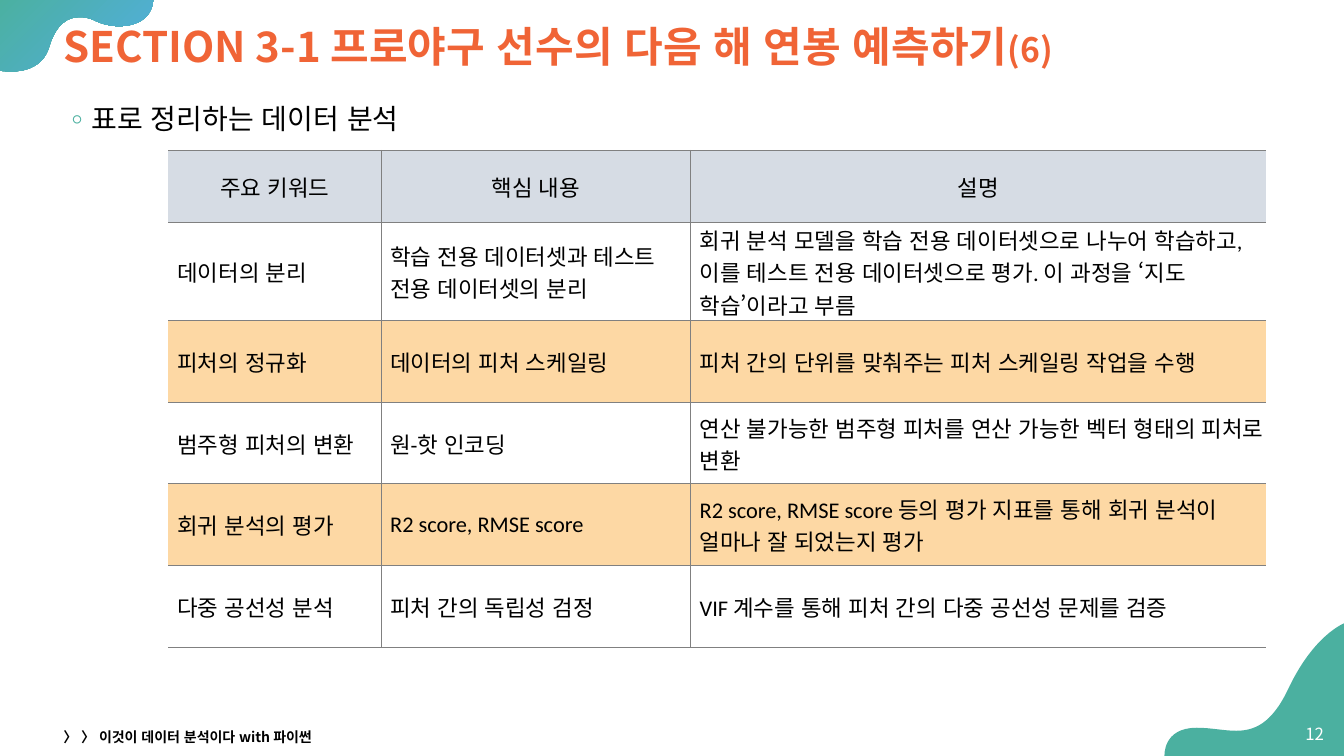
from lxml import etree
from pptx import Presentation, util as u
from pptx.dml.color import RGBColor
from pptx.enum import lang, text
from pptx.oxml.ns import qn

TEAL = RGBColor(0x4B, 0xB0, 0xA0)
BLUE = RGBColor(0x52, 0xAE, 0xE1)
ORANGE = RGBColor(0xF0, 0x64, 0x36)
HEADER = RGBColor(0xD6, 0xDC, 0xE4)
BAND = RGBColor(0xFD, 0xD8, 0xA4)
GRAY = RGBColor(0x80, 0x80, 0x80)
BLACK = RGBColor(0, 0, 0)
WHITE = RGBColor(0xFF, 0xFF, 0xFF)
KOREAN = "Noto Sans CJK KR"
LEFT, CENTER, RIGHT = text.PP_ALIGN.LEFT, text.PP_ALIGN.CENTER, text.PP_ALIGN.RIGHT
TOP, MIDDLE = text.MSO_ANCHOR.TOP, text.MSO_ANCHOR.MIDDLE
MARGIN = 0.53

deck = Presentation()
deck.slide_width, deck.slide_height = u.Inches(13.33), u.Inches(7.5)
page = deck.slides.add_slide(deck.slide_layouts[5])


def style(span, size, color, latin=KOREAN, bold=False):
    """Format a run, keeping the Korean font for its East Asian letters."""
    font = span.font
    font.size, font.bold, font.name = u.Pt(size), bold, latin
    font.color.rgb = color
    font.language_id = lang.MSO_LANGUAGE_ID.KOREAN
    etree.SubElement(span._r.get_or_add_rPr(), qn("a:ea"), typeface=KOREAN)


def add_wave(start, curves, corner):
    """Outline of cubic curves (two handles and an end), closed over a corner."""
    points = [point for curve in curves for point in curve] + [corner]
    # Hundredths of an inch keep the local coordinates whole
    start, *points = [(round(x * 100), round(y * 100)) for x, y in [start, *points]]
    builder = page.shapes.build_freeform(*start, scale=u.Inches(0.01))
    builder.add_line_segments(points, close=True)
    wave = builder.convert_to_shape()
    wave.shadow.inherit = False
    wave.line.fill.background()
    lines = list(wave._element.iter(qn("a:lnTo")))
    for first in range(0, 3 * len(curves), 3):
        bend = etree.Element(qn("a:cubicBezTo"))
        lines[first].addprevious(bend)
        for line in lines[first:first + 3]:
            bend.append(line[0])
            line.getparent().remove(line)
    return wave


top_wave = add_wave((-0.01, 0.7), [
    ((-0.01, 0.7), (0.04, 0.71), (0.11, 0.71)),
    ((0.24, 0.71), (0.43, 0.67), (0.49, 0.46)),
    ((0.56, 0.23), (0.68, 0.17), (0.79, 0.17)),
    ((0.84, 0.17), (0.89, 0.18), (0.93, 0.2)),
    ((1.01, 0.24), (1.1, 0.26), (1.18, 0.26)),
    ((1.37, 0.26), (1.52, 0.17), (1.52, -0.02)),
], (-0.01, -0.02))
top_wave.fill.gradient()
top_wave.fill.gradient_angle = 315
for stop, color in zip(top_wave.fill.gradient_stops, (TEAL, BLUE)):
    stop.color.rgb = color

bottom_wave = add_wave((13.34, 6.18), [
    ((13.34, 6.18), (13.03, 6.29), (12.77, 6.85)),
    ((12.61, 7.18), (12.44, 7.25), (12.26, 7.25)),
    ((12.14, 7.25), (12.01, 7.22), (11.87, 7.22)),
    ((11.53, 7.22), (11.55, 7.5), (11.55, 7.5)),
], (13.34, 7.5))
bottom_wave.fill.solid()
bottom_wave.fill.fore_color.rgb = TEAL

title = page.shapes.title
title._element.getparent().append(title._element)  # in front of the waves
title.left, title.top, title.width, title.height = map(u.Inches, (MARGIN, 0.12, 12.34, 0.73))
title.text_frame.vertical_anchor = MIDDLE
title.text_frame.auto_size = text.MSO_AUTO_SIZE.NONE
para = title.text_frame.paragraphs[0]
para.alignment, para.line_spacing = LEFT, 0.9
for words, size in (("SECTION 3-1 프로야구 선수의 다음 해 연봉 예측하기", 30), ("(6)", 24)):
    span = para.add_run()
    span.text = words
    style(span, size, ORANGE, bold=True)

boxes = [
    ("표로 정리하는 데이터 분석", (MARGIN, 0.89, 12.34, 0.55), 20, BLACK, "Calibri", False, LEFT, TOP),
    ("12", (12.79, 7.08, 0.44, 0.4), 12, WHITE, KOREAN, False, RIGHT, MIDDLE),
    ("〉 〉 이것이 데이터 분석이다 with 파이썬", (MARGIN, 7.19, 4.5, 0.24), 10, BLACK, KOREAN, True,
     LEFT, MIDDLE),
]
paras = []
for words, place, size, color, latin, bold, align, anchor in boxes:
    frame = page.shapes.add_textbox(*map(u.Inches, place)).text_frame
    frame.word_wrap, frame.vertical_anchor = True, anchor
    frame.text = words
    para = frame.paragraphs[0]
    para.alignment = align
    style(para.runs[0], size, color, latin, bold)
    paras.append(para)

bullet = paras[0]
bullet.line_spacing, bullet.space_before = 1.2, u.Pt(10)
props = bullet._p.get_or_add_pPr()
props.set("marL", str(u.Inches(0.25)))
props.set("indent", str(-u.Inches(0.25)))
bullet_color = etree.SubElement(props, qn("a:buClr"))
etree.SubElement(bullet_color, qn("a:srgbClr"), val=str(TEAL))
etree.SubElement(props, qn("a:buFont"), typeface=KOREAN)
etree.SubElement(props, qn("a:buChar"), char="◦")

rows = [
    ("주요 키워드", "핵심 내용", "설명"),
    ("데이터의 분리", "학습 전용 데이터셋과 테스트\n전용 데이터셋의 분리",
     "회귀 분석 모델을 학습 전용 데이터셋으로 나누어 학습하고, 이를 테스트 전용 데이터셋으로 평가. "
     "이 과정을 ‘지도 학습’이라고 부름"),
    ("피처의 정규화", "데이터의 피처 스케일링", "피처 간의 단위를 맞춰주는 피처 스케일링 작업을 수행"),
    ("범주형 피처의 변환", "원-핫 인코딩",
     "연산 불가능한 범주형 피처를 연산 가능한 벡터 형태의 피처로 변환"),
    ("회귀 분석의 평가", "R2 score, RMSE score",
     "R2 score, RMSE score 등의 평가 지표를 통해 회귀 분석이 얼마나 잘 되었는지 평가"),
    ("다중 공선성 분석", "피처 간의 독립성 검정", "VIF 계수를 통해 피처 간의 다중 공선성 문제를 검증"),
]
widths = (2.11, 3.07, 5.71)
heights = (0.72, 0.97, 0.81, 0.81, 0.81, 0.81)
place = (1.67, 1.49, sum(widths), sum(heights))
table = page.shapes.add_table(len(rows), len(widths), *map(u.Inches, place)).table
table.first_row = table.horz_banding = False
for column, width in zip(table.columns, widths):
    column.width = u.Inches(width)

for r, row in enumerate(rows):
    table.rows[r].height = u.Inches(heights[r])
    for c, words in enumerate(row):
        cell = table.cell(r, c)
        cell.text = words
        cell.vertical_anchor = MIDDLE
        cell.margin_left = cell.margin_right = cell.margin_top = u.Inches(0.01)
        cell.margin_bottom = 0
        for para in cell.text_frame.paragraphs:
            para.alignment = LEFT if r else CENTER
            if r:
                para._p.get_or_add_pPr().set("marL", str(u.Inches(0.08)))
            style(para.runs[0], 16, BLACK, "Calibri")
        if r % 2:
            cell.fill.background()
        else:
            cell.fill.solid()
            cell.fill.fore_color.rgb = BAND if r else HEADER
        outer = {"a:lnL": c == 0, "a:lnR": c == len(widths) - 1}
        for order, side in enumerate(("a:lnL", "a:lnR", "a:lnT", "a:lnB")):
            border = etree.Element(qn(side), w=str(u.Pt(0.5)))
            if outer.get(side):
                etree.SubElement(border, qn("a:noFill"))
            else:
                ink = etree.SubElement(border, qn("a:solidFill"))
                etree.SubElement(ink, qn("a:srgbClr"), val=str(GRAY))
            cell._tc.get_or_add_tcPr().insert(order, border)

deck.save("out.pptx")
